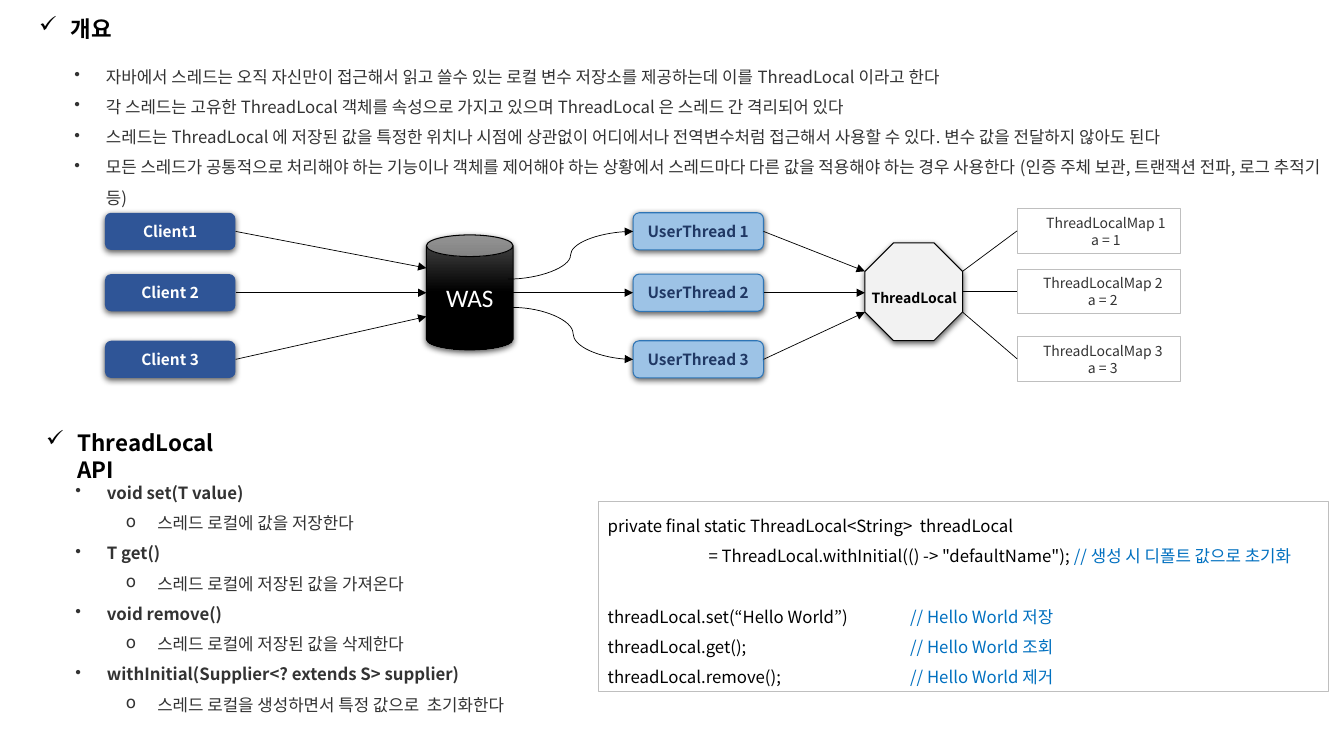
import lxml.etree
import pptx
import pptx.dml.color
import pptx.enum.shapes
import pptx.enum.text
import pptx.oxml.ns
import pptx.util

Pt = pptx.util.Pt
qn = pptx.oxml.ns.qn
rgb = pptx.dml.color.RGBColor.from_string
SHAPES = pptx.enum.shapes.MSO_SHAPE
CONNECTORS = pptx.enum.shapes.MSO_CONNECTOR
CENTER = pptx.enum.text.PP_ALIGN.CENTER
GROW = pptx.enum.text.MSO_AUTO_SIZE.SHAPE_TO_FIT_TEXT
FONT = "Noto Sans CJK KR"

presentation = pptx.Presentation()
presentation.slide_width, presentation.slide_height = Pt(960), Pt(540)
slide = presentation.slides.add_slide(presentation.slide_layouts[6])
shapes = slide.shapes


def add_line(frame, text, size, color, bold=False, align=None, spacing=None,
             bullet=None, indent=22.5, tabs=(), font=FONT):
    """Write one paragraph, using the first one of the frame while it is empty."""
    first = frame.paragraphs[0]
    paragraph = frame.add_paragraph() if first.text else first
    paragraph.text = text
    properties = paragraph._p.get_or_add_pPr()
    if bullet:
        properties.set("marL", str(Pt(indent)))
        properties.set("indent", str(Pt(-22.5)))
        lxml.etree.SubElement(properties, qn("a:buChar"), char=bullet)
    if tabs:
        tab_list = lxml.etree.SubElement(properties, qn("a:tabLst"))
        for position in tabs:
            lxml.etree.SubElement(tab_list, qn("a:tab"), pos=str(Pt(position)), algn="l")
    paragraph.alignment = align
    paragraph.line_spacing = spacing
    paragraph.font.size = Pt(size)
    paragraph.font.bold = bold
    paragraph.font.color.rgb = rgb(color)
    paragraph.font.name = font
    lxml.etree.SubElement(properties.find(qn("a:defRPr")), qn("a:ea"), typeface=font)
    return paragraph


def add_box(kind, left, top, width, height, fill=None, line=None, line_width=0.75, shadow=False):
    """Add a preset shape, or a growing text box when kind is None."""
    frame = [Pt(length) for length in (left, top, width, height)]
    if kind is None:
        box = shapes.add_textbox(*frame)
        box.text_frame.word_wrap = True
        box.text_frame.auto_size = GROW
        return box
    box = shapes.add_shape(kind, *frame)
    if fill:
        box.fill.solid()
        box.fill.fore_color.rgb = rgb(fill)
    if line:
        box.line.color.rgb = rgb(line)
        box.line.width = Pt(line_width)
    else:
        box.line.fill.background()
    box.shadow.inherit = False
    if shadow:
        effects = box._element.spPr.find(qn("a:effectLst"))
        outer = lxml.etree.SubElement(effects, qn("a:outerShdw"), blurRad=str(Pt(4.5)),
                                      dist=str(Pt(1.5)), dir="5400000", rotWithShape="0")
        black = lxml.etree.SubElement(outer, qn("a:srgbClr"), val="000000")
        lxml.etree.SubElement(black, qn("a:alpha"), val="63000")
    return box


# Section headings
for heading, left, top, width in (("개요", 20.9, 7.2, 66.2), ("ThreadLocal API", 25.9, 303.1, 156.2)):
    frame = add_box(None, left, top, width, 26.6).text_frame
    frame.word_wrap = False
    add_line(frame, heading, 16, "000000", bold=True, bullet="✓")

# Overview
overview = add_box(None, 46.1, 36.7, 910.1, 92.9).text_frame
for text in (
    "자바에서 스레드는 오직 자신만이 접근해서 읽고 쓸수 있는 로컬 변수 저장소를 제공하는데 이를 ThreadLocal 이라고 한다",
    "각 스레드는 고유한 ThreadLocal 객체를 속성으로 가지고 있으며 ThreadLocal 은 스레드 간 격리되어 있다",
    "스레드는 ThreadLocal 에 저장된 값을 특정한 위치나 시점에 상관없이 어디에서나 전역변수처럼 접근해서 "
    "사용할 수 있다. 변수 값을 전달하지 않아도 된다",
    "모든 스레드가 공통적으로 처리해야 하는 기능이나 객체를 제어해야 하는 상황에서 스레드마다 다른 값을 "
    "적용해야 하는 경우 사용한다 (인증 주체 보관, 트랜잭션 전파, 로그 추적기 등)",
):
    add_line(overview, text, 12, "333333", spacing=1.5, bullet="•")

# API methods
api = add_box(None, 46.8, 334.1, 381.6, 180).text_frame
for method, description in (
    ("void set(T value)", "스레드 로컬에 값을 저장한다"),
    ("T get()", "스레드 로컬에 저장된 값을 가져온다"),
    ("void remove()", "스레드 로컬에 저장된 값을 삭제한다"),
    ("withInitial(Supplier<? extends S> supplier)", "스레드 로컬을 생성하면서 특정 값으로  초기화한다"),
):
    add_line(api, method, 12, "333333", bold=True, spacing=1.5, bullet="•")
    detail = add_line(api, description, 12, "333333", spacing=1.5, bullet="o", indent=58.5)
    detail.level = 1

# Diagram: clients, server, user threads, ThreadLocal and its maps
row_centers = (165.3, 209.1, 256.7)
add_box(SHAPES.OCTAGON, 617.8, 173.5, 69.8, 69.8, "F2F2F2", "000000", shadow=True)
label = add_box(None, 599, 197.3, 108, 23.8)
add_line(label.text_frame, "ThreadLocal", 10, "000000", bold=True, align=CENTER, spacing=1.5)

was = add_box(SHAPES.CAN, 304.6, 167.8, 61.9, 82.1, line="000000", shadow=True)
was.fill.gradient()
was.fill.gradient_angle = 270
for stop, color, position in zip(was.fill.gradient_stops, ("4B4B4B", "000000"), (0, 0.5)):
    stop.color.rgb = rgb(color)
    stop.position = position
add_line(was.text_frame, "WAS", 18, "FFFFFF", align=CENTER, font="Calibri")

for left, names, fill, line, color in (
    (75, ("Client1", "Client 2", "Client 3"), "2F5597", None, "FFFFFF"),
    (452.2, ("UserThread 1", "UserThread 2", "UserThread 3"), "9DC3E6", "2E75B6", "203864"),
):
    for name, center in zip(names, row_centers):
        box = add_box(SHAPES.ROUNDED_RECTANGLE, left, center - 13.3, 93.2, 26.6, fill, line, shadow=True)
        add_line(box.text_frame, name, 11, color, bold=True, align=CENTER)

for number, top, width in ((1, 149, 106.6), (2, 192.2, 102.2), (3, 240.5, 102.2)):
    add_box(SHAPES.RECTANGLE, 726.5, top, 116.6, 31.7, "FFFFFF", "BFBFBF", 0.25)
    label = add_box(None, 736.6, top + 0.7, width, 31.7)
    for text in (f"ThreadLocalMap {number}", f"a = {number}"):
        add_line(label.text_frame, text, 10, "333333", align=CENTER)

# Connectors: kind, arrowhead, from x, to x, (from y, to y) for each row
STRAIGHT, CURVE = CONNECTORS.STRAIGHT, CONNECTORS.CURVE
top_row, middle_row, bottom_row = row_centers
for kind, arrow, starts, end, heights in (
    (STRAIGHT, True, (168.3,) * 3, 304.6,
     ((top_row, 191.5), (middle_row, middle_row), (bottom_row, 226.1))),
    (CURVE, True, (362.9, 366.5, 366.5), 452.2,
     ((199.4, top_row), (middle_row, middle_row), (219.6, bottom_row))),
    (STRAIGHT, True, (545.4,) * 3, 617.8,
     ((top_row, 193.8), (middle_row, middle_row), (bottom_row, 223))),
    (STRAIGHT, False, (687.6,) * 3, 726.5,
     ((193.8, 164.9), (208.1, 208.1), (223, 256.3))),
):
    for start, (start_y, end_y) in zip(starts, heights):
        connector = shapes.add_connector(kind, Pt(start), Pt(start_y), Pt(end), Pt(end_y))
        connector.line.color.rgb = rgb("000000")
        connector.line.width = Pt(0.5)
        if arrow:
            lxml.etree.SubElement(connector.line._get_or_add_ln(), qn("a:tailEnd"), type="triangle")
        lxml.etree.SubElement(connector._element.spPr, qn("a:effectLst"))

# Code sample
code_box = add_box(SHAPES.RECTANGLE, 427, 357.8, 522, 136.1, "FFFFFF", "BFBFBF", 0.25)
code_frame = code_box.text_frame
code_frame.vertical_anchor = pptx.enum.text.MSO_ANCHOR.TOP
code_frame.auto_size = GROW
for code, comment, space_before in (
    ("private final static ThreadLocal<String>  threadLocal", "", 0),
    ("\t= ThreadLocal.withInitial(() -> \"defaultName\"); ", "// 생성 시 디폴트 값으로 초기화", 0),
    ("threadLocal.set(“Hello World”)\t", "// Hello World 저장", 21.6),
    ("threadLocal.get();\t", "// Hello World 조회", 0),
    ("threadLocal.remove();\t", "// Hello World 제거", 0),
):
    paragraph = add_line(code_frame, code, 12, "000000", align=pptx.enum.text.PP_ALIGN.LEFT,
                         spacing=1.5, tabs=(72, 216))
    if space_before:
        paragraph.space_before = Pt(space_before)
    if comment:
        run = paragraph.add_run()
        run.text = comment
        run.font.color.rgb = rgb("0070C0")

presentation.save("out.pptx")
